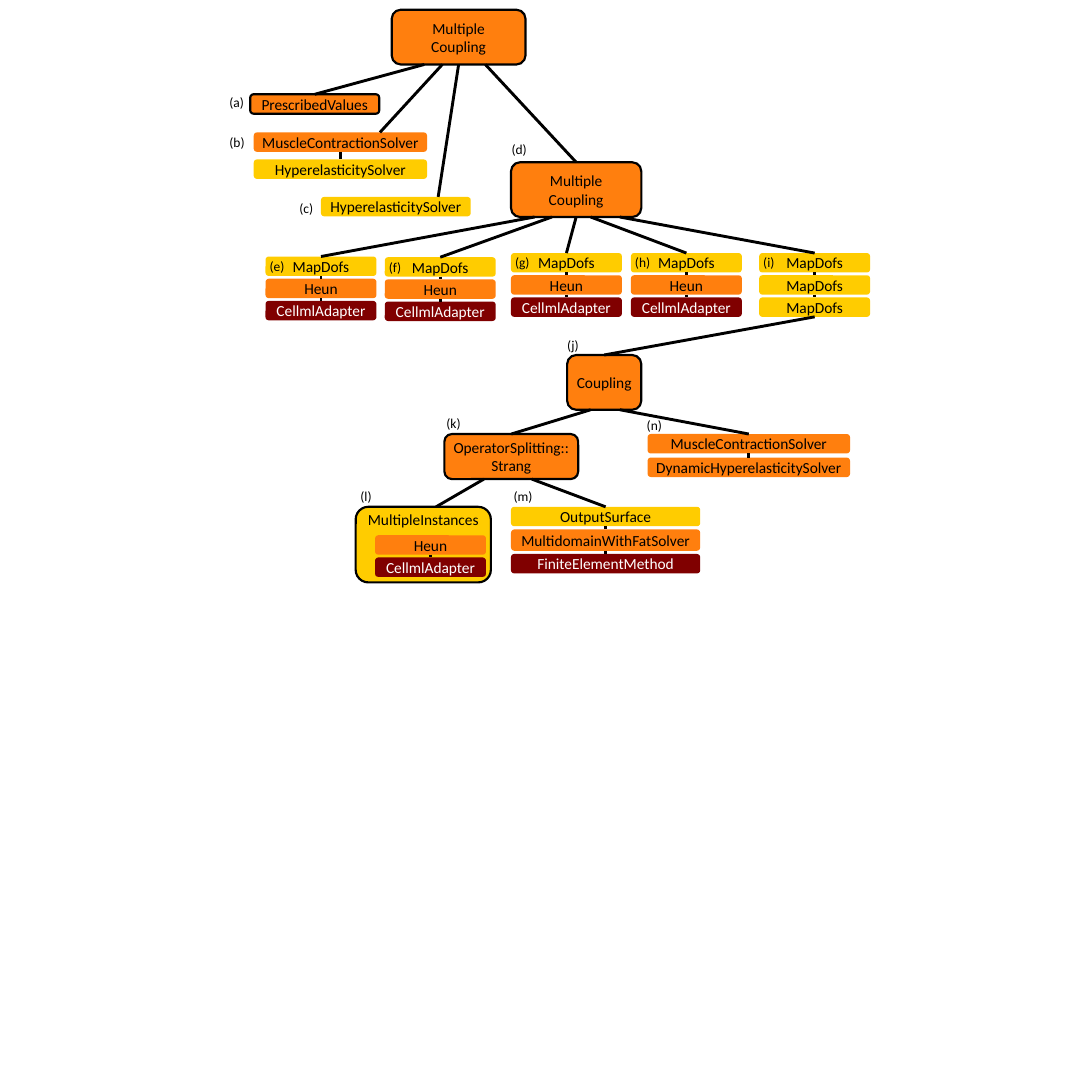
from dataclasses import dataclass

from lxml import etree
from pptx import Presentation
from pptx.dml.color import RGBColor
from pptx.enum import shapes as kinds, text as txt
from pptx.oxml import ns
from pptx.util import Inches, Pt


@dataclass(frozen=True)
class Theme:
    """Colours, type sizes and line widths of the solver tree."""
    font: str = "Calibri"
    node_size: int = 16
    tag_size: int = 14
    outline: float = 2.25
    link: float = 3
    black: str = "000000"
    white: str = "FFFFFF"
    orange: str = "FF7F0E"
    yellow: str = "FFCC00"
    maroon: str = "800000"


@dataclass(frozen=True)
class Box:
    """A rectangle in inches."""
    x: float
    y: float
    w: float
    h: float

    def inner(self, dx, dy, w, h):
        """Return a box placed relative to this one."""
        return Box(self.x + dx, self.y + dy, w, h)

    def lengths(self):
        """Return left, top, width and height as slide lengths."""
        return [Inches(v) for v in (self.x, self.y, self.w, self.h)]


THEME = Theme()
ROW = 0.28
MUSCLE = ("MuscleContractionSolver", THEME.orange)
HYPER = ("HyperelasticitySolver", THEME.yellow)
MAP = ("MapDofs", THEME.yellow)
CELL = [("Heun", THEME.orange), ("CellmlAdapter", THEME.maroon)]


def style(paragraph, size, color):
    """Set the font of one paragraph."""
    paragraph.font.name = THEME.font
    paragraph.font.size = Pt(size)
    paragraph.font.color.rgb = RGBColor.from_string(color)


def solver(tree, box, name, color, outlined=False):
    """Draw one rounded solver node."""
    node = tree.add_shape(kinds.MSO_SHAPE.ROUNDED_RECTANGLE, *box.lengths())
    node.shadow.inherit = False
    node.fill.solid()
    node.fill.fore_color.rgb = RGBColor.from_string(color)
    if outlined:
        node.line.color.rgb = RGBColor.from_string(THEME.black)
        node.line.width = Pt(THEME.outline)
    else:
        node.line.fill.background()
    frame = node.text_frame
    frame.word_wrap = True
    frame.vertical_anchor = txt.MSO_ANCHOR.MIDDLE
    frame.margin_left = frame.margin_right = Inches(0.09)
    frame.margin_top = frame.margin_bottom = Inches(0.04)
    frame.text = name
    caption = frame.paragraphs[0]
    caption.alignment = txt.PP_ALIGN.CENTER
    style(caption, THEME.node_size, THEME.white if color == THEME.maroon else THEME.black)
    return node


def link(tree, parent, child, start=None, end=None):
    """Join parent bottom to child top, at the middles or at offsets from the left."""
    x1 = parent.left + (parent.width // 2 if start is None else Inches(start))
    x2 = child.left + (child.width // 2 if end is None else Inches(end))
    edge = tree.add_connector(kinds.MSO_CONNECTOR.STRAIGHT, x1,
                              parent.top + parent.height, x2, child.top)
    edge.line.color.rgb = RGBColor.from_string(THEME.black)
    edge.line.width = Pt(THEME.link)
    etree.SubElement(edge._element.spPr, ns.qn("a:effectLst"))
    if start is None:
        edge.begin_connect(parent, 2)
    if end is None:
        edge.end_connect(child, 0)


def stack(tree, box, rows, pitch, heights=None):
    """Draw linked solvers at equal centre distances; return the first and last."""
    heights = heights or [ROW] * len(rows)
    nodes = [solver(tree, box.inner(0, i * pitch + (ROW - h) / 2, box.w, h), *row)
             for i, (row, h) in enumerate(zip(rows, heights))]
    for upper, lower in zip(nodes, nodes[1:]):
        link(tree, upper, lower)
    return nodes[0], nodes[-1]


def tag(tree, box, letter):
    """Write the letter that marks a branch."""
    label = tree.add_textbox(*box.lengths())
    label.text_frame.word_wrap = True
    label.text_frame.text = f"({letter})"
    style(label.text_frame.paragraphs[0], THEME.tag_size, THEME.black)


def top_branches(tree, box):
    """Draw the root with branches a to d; return the coupling of branch d."""
    root = solver(tree, box.inner(2.44, 0, 1.93, 0.79), "Multiple\vCoupling", THEME.orange, True)
    prescribed = solver(tree, box.inner(0.4, 1.22, 1.86, ROW), "PrescribedValues",
                        THEME.orange, True)
    muscle, _ = stack(tree, box.inner(0.45, 1.77, 2.5, 0.67), [MUSCLE, HYPER], 0.39)
    hyper = solver(tree, box.inner(1.42, 2.7, 2.16, ROW), *HYPER)
    coupling = solver(tree, box.inner(4.16, 2.2, 1.88, 0.79), "Multiple\vCoupling",
                      THEME.orange, True)
    link(tree, root, prescribed, 0.47)
    link(tree, root, muscle, 0.73, 1.82)
    link(tree, root, hyper, None, 1.69)
    link(tree, root, coupling, 1.35)
    for letter, dx, dy in [("a", 0, 1.17), ("b", 0, 1.74), ("c", 1.01, 2.69), ("d", 4.07, 1.84)]:
        tag(tree, box.inner(dx, dy, 0.43, 0.34), letter)
    return coupling


def dof_branches(tree, box, coupling):
    """Draw branches e to i under a coupling; return the last solver of branch i."""
    columns = [("e", 0, 0.05, 0.34), ("f", 1.72, 0.06, 0.59), ("g", 3.54, 0, None),
               ("h", 5.27, 0, 1.15), ("i", 7.12, 0, 1.57)]
    for letter, dx, dy, start in columns:
        column = box.inner(dx, dy, 1.6, 0.92)
        rows = [MAP] * 3 if letter == "i" else [MAP, *CELL]
        holder = tree if letter == "i" else tree.add_group_shape().shapes
        first, last = stack(holder, column, rows, 0.32)
        link(tree, coupling, first, start)
        tag(tree, column.inner(-0.04, -0.03, 0.43, 0.34), letter)
    return last


def coupling_branches(tree, box, source):
    """Draw the lower coupling j with branches k to n."""
    coupling = solver(tree, box.inner(3.05, 0, 1.07, 0.79), "Coupling", THEME.orange, True)
    strang = solver(tree, box.inner(1.28, 1.14, 1.93, 0.65), "OperatorSplitting::Strang",
                    THEME.orange, True)
    instances = solver(tree, box.inner(0, 2.19, 1.95, 1.09), "MultipleInstances",
                       THEME.yellow, True)
    instances.text_frame.vertical_anchor = txt.MSO_ANCHOR.TOP
    instances.text_frame.margin_top = 0
    stack(tree, box.inner(0.28, 2.6, 1.6, 0.6), CELL, 0.32)
    surface, _ = stack(tree, box.inner(2.24, 2.19, 2.73, 0.96),
                       [("OutputSurface", THEME.yellow),
                        ("MultidomainWithFatSolver", THEME.orange),
                        ("FiniteElementMethod", THEME.maroon)], 0.34, [ROW, 0.31, ROW])
    muscle, _ = stack(tree, box.inner(4.21, 1.14, 2.92, 0.62),
                      [MUSCLE, ("DynamicHyperelasticitySolver", THEME.orange)], 0.34)
    link(tree, source, coupling)
    link(tree, coupling, strang, 0.34)
    link(tree, coupling, muscle, 0.76)
    link(tree, strang, instances, 0.57, 1.16)
    link(tree, strang, surface, 1.26)
    for letter, dx, dy, width in [("j", 2.95, -0.31, 0.43), ("k", 1.21, 0.81, 0.43),
                                  ("l", -0.03, 1.87, 0.5), ("m", 2.18, 1.87, 0.53),
                                  ("n", 4.1, 0.85, 0.53)]:
        tag(tree, box.inner(dx, dy, width, 0.34), letter)


def main():
    """Build the solver tree slide."""
    deck = Presentation()
    deck.slide_width = deck.slide_height = Inches(15.75)
    tree = deck.slides.add_slide(deck.slide_layouts[6]).shapes
    coupling = top_branches(tree, Box(3.21, 0.14, 6.04, 2.99))
    last_map = dof_branches(tree, Box(3.83, 3.65, 8.72, 0.98), coupling)
    coupling_branches(tree, Box(5.13, 5.12, 7.13, 3.28), last_map)
    deck.save("out.pptx")


if __name__ == "__main__":
    main()
